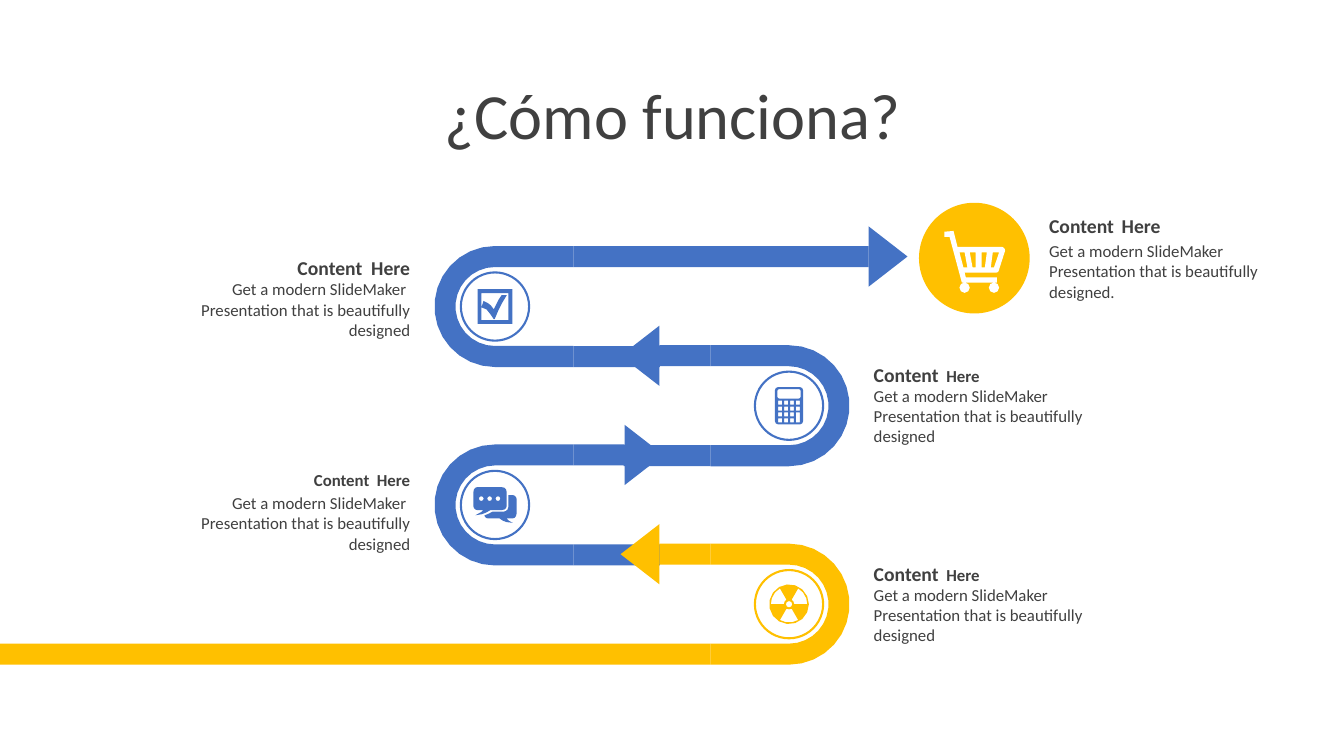
from math import ceil, cos, radians, sin

from pptx import Presentation
from pptx.dml.color import RGBColor
from pptx.enum.shapes import MSO_SHAPE
from pptx.enum.text import MSO_ANCHOR, MSO_AUTO_SIZE, PP_ALIGN
from pptx.util import Cm, Pt

BLUE, GOLD, GREY, WHITE = "4472C4", "FFC000", "404040", "FFFFFF"
BAND = 0.53
BEND_WIDTH, BEND_HEIGHT = 3.5, 3.05
FIRST_TOP, TIER_PITCH = 6.2, 2.5
ARROW_SPAN, ARROW_DEPTH = 1.52, 0.98
BODY = "Get a modern SlideMaker  Presentation that is beautifully designed"


def color(value):
    return RGBColor.from_string(value)


def paint(shape, fill=None, line=None):
    shape.shadow.inherit = False
    if fill:
        shape.fill.solid()
        shape.fill.fore_color.rgb = color(fill)
    else:
        shape.fill.background()
    if line:
        shape.line.color.rgb = color(line)
        shape.line.width = Pt(1.5)
    else:
        shape.line.fill.background()


def add_preset(slide, kind, left, top, width, height, fill=None, line=None):
    shape = slide.shapes.add_shape(kind, Cm(left), Cm(top), Cm(width), Cm(height))
    paint(shape, fill, line)
    return shape


def arc(x, y, radius, start, end):
    sweep = abs(end - start)
    steps = ceil(max(sweep / 45, sweep * min(radius, 1) / 12))
    angles = [radians(start + (end - start) * i / steps) for i in range(steps + 1)]
    return [(x + radius * cos(a), y + radius * sin(a)) for a in angles]


def circle(x, y, radius):
    return arc(x, y, radius, 0, 360)[:-1]


def rectangle(left, top, width, height):
    right, bottom = left + width, top + height
    return [(left, top), (right, top), (right, bottom), (left, bottom)]


def rounded(left, top, width, height, radius):
    inner = rectangle(left + radius, top + radius, width - 2 * radius, height - 2 * radius)
    return [point for i, (x, y) in enumerate(inner)
            for point in arc(x, y, radius, 180 + 90 * i, 270 + 90 * i)]


def trace(*steps):
    points = [steps[0]]
    for step in steps[1:]:
        if len(step) == 2:
            points.append(step)
            continue
        curve = [points[-1], step[0:2], step[2:4], step[4:6]]
        for t in (1 / 3, 2 / 3, 1):
            weights = [(1 - t) ** 3, 3 * t * (1 - t) ** 2, 3 * t * t * (1 - t), t ** 3]
            points.append(tuple(sum(w * p[axis] for w, p in zip(weights, curve))
                                for axis in (0, 1)))
    return points


def add_outline(slide, left, top, contours, fill):
    placed = [[(Cm(left + x), Cm(top + y)) for x, y in contour] for contour in contours]
    builder = slide.shapes.build_freeform(*placed[0][0], scale=1.0)
    for i, contour in enumerate(placed):
        if i:
            builder.move_to(*contour[0])
        builder.add_line_segments(contour[1:], close=True)
    paint(builder.convert_to_shape(), fill)


def add_tier(slide, left, top, side, fill, lower_end, arrow_x):
    radius = BEND_HEIGHT / 2
    if side == "left":
        center, inner_end, sweep = radius, BEND_WIDTH, (270, 90)
    else:
        center, inner_end, sweep = BEND_WIDTH - radius, 0, (-90, 90)
    bend = ([(inner_end, 0)] + arc(center, radius, radius, *sweep)
            + [(inner_end, BEND_HEIGHT), (inner_end, BEND_HEIGHT - BAND)]
            + arc(center, radius, radius - BAND, *sweep[::-1]) + [(inner_end, BAND)])
    joint = left + inner_end
    arrow_base = arrow_x + ARROW_DEPTH / 2 * (-1 if side == "left" else 1)
    for end, y in ((lower_end, top + BEND_HEIGHT - BAND), (arrow_base, top)):
        add_preset(slide, MSO_SHAPE.RECTANGLE, min(joint, end), y, abs(end - joint), BAND, fill)
    add_outline(slide, left, top, [bend], fill)
    arrow = add_preset(slide, MSO_SHAPE.ISOSCELES_TRIANGLE, arrow_x - ARROW_SPAN / 2,
                       top + BAND / 2 - ARROW_DEPTH / 2, ARROW_SPAN, ARROW_DEPTH, fill)
    arrow.rotation = 90 if side == "left" else 270
    return left + center, top + radius


def add_badge(slide, x, y, line, icon, width, height):
    radius = 0.86
    add_preset(slide, MSO_SHAPE.OVAL, x - radius, y - radius, 2 * radius, 2 * radius, line=line)
    add_outline(slide, x - width / 2, y - height / 2, icon, line)


def checkbox_icon():
    tick = trace((0.1, 0.46), (0.15, 0.3), (0.28, 0.36, 0.33, 0.38, 0.41, 0.51),
                 (0.49, 0.36, 0.51, 0.28, 0.61, 0.15), (0.74, 0.15),
                 (0.62, 0.33, 0.51, 0.56, 0.43, 0.76), (0.41, 0.76),
                 (0.33, 0.66, 0.25, 0.46, 0.1, 0.46))
    return [rectangle(0, 0, 0.88, 0.88), rectangle(0.1, 0.1, 0.68, 0.68), tick]


def calculator_icon():
    keys = [rectangle(0.08 + 0.15 * column, 0.34 + 0.15 * row, 0.1, 0.1)
            for column in range(4) for row in range(4) if column < 3 or row < 2]
    tall_key = rectangle(0.53, 0.64, 0.1, 0.25)
    return [rounded(0, 0, 0.71, 0.94, 0.08), rounded(0.06, 0.05, 0.59, 0.24, 0.05),
            *keys, tall_key]


def chat_icon():
    front = trace((0.1, 0), (0.71, 0), (0.79, 0, 0.84, 0.05, 0.84, 0.13), (0.84, 0.48),
                  (0.84, 0.53, 0.79, 0.58, 0.71, 0.58), (0.43, 0.58),
                  (0.3, 0.66, 0.25, 0.69, 0.05, 0.71), (0.18, 0.63, 0.18, 0.66, 0.25, 0.58),
                  (0.1, 0.58), (0.05, 0.58, 0, 0.53, 0, 0.48), (0, 0.13),
                  (0, 0.05, 0.05, 0, 0.1, 0))
    back = trace((0.88, 0.2), (0.99, 0.2), (1.04, 0.2, 1.09, 0.25, 1.09, 0.3), (1.09, 0.66),
                 (1.09, 0.74, 1.04, 0.79, 0.99, 0.79), (0.84, 0.79),
                 (0.86, 0.81, 0.86, 0.84, 0.99, 0.9), (0.79, 0.89, 0.76, 0.86, 0.66, 0.79),
                 (0.38, 0.79), (0.33, 0.79, 0.28, 0.76, 0.28, 0.71),
                 (0.36, 0.69, 0.41, 0.66, 0.48, 0.62), (0.76, 0.62),
                 (0.82, 0.62, 0.88, 0.57, 0.88, 0.51))
    return [front, back] + [circle(0.2 + 0.21 * i, 0.29, 0.06) for i in range(3)]


def radiation_icon():
    sectors = [arc(0.5, 0.5, 0.46, start, start + 60) + arc(0.5, 0.5, 0.13, start + 60, start)
               for start in (60, 180, 300)]
    return [circle(0.5, 0.5, 0.5), *sectors, circle(0.5, 0.5, 0.08)]


def cart_icon():
    frame = trace((0.23, 0), (0.33, 0.4), (1.45, 0.4), (1.5, 0.42, 1.53, 0.44, 1.53, 0.5),
                  (1.37, 1), (1.36, 1.04, 1.34, 1.05, 1.3, 1.05), (0.51, 1.05), (0.54, 1.17),
                  (1.32, 1.17), (1.32, 1.3), (0.44, 1.3), (0.13, 0.15), (0, 0.15), (0, 0.02))
    slots = [[(a, 0.54), (b, 0.92), (c, 0.92), (d, 0.54)]
             for a, b, c, d in ((0.38, 0.48, 0.58, 0.51), (0.64, 0.71, 0.79, 0.79),
                                (0.94, 0.94, 1.02, 1.07), (1.22, 1.17, 1.25, 1.38))]
    return [frame, *slots, circle(0.51, 1.43, 0.13), circle(1.25, 1.43, 0.13)]


def add_goal(slide, left, top, size):
    add_preset(slide, MSO_SHAPE.OVAL, left, top, size, size, GOLD)
    add_outline(slide, left + 0.64, top + 0.71, cart_icon(), WHITE)


def add_text(slide, left, top, width, height, runs, align, anchor, bold=False, grow=True):
    box = slide.shapes.add_textbox(Cm(left), Cm(top), Cm(width), Cm(height))
    frame = box.text_frame
    frame.word_wrap = True
    frame.auto_size = MSO_AUTO_SIZE.SHAPE_TO_FIT_TEXT if grow else MSO_AUTO_SIZE.NONE
    frame.vertical_anchor = anchor
    paragraph = frame.paragraphs[0]
    paragraph.alignment = align
    for text, size in runs:
        run = paragraph.add_run()
        run.text = text
        run.font.name = "Calibri"
        run.font.size = Pt(size)
        run.font.bold = bold
        run.font.color.rgb = color(GREY)


def add_caption(slide, left, top, width, heading, align, gap=0.59, body=BODY):
    height = 0.86 if heading[0][1] == 14 else 0.76
    add_text(slide, left, top, width, height, heading, align, MSO_ANCHOR.MIDDLE, bold=True)
    add_text(slide, left, top + gap, width, 1.8, [(body, 12)], align, MSO_ANCHOR.TOP)


def main():
    presentation = Presentation()
    presentation.slide_width, presentation.slide_height = Cm(33.87), Cm(19.05)
    slide = presentation.slides.add_slide(presentation.slide_layouts[6])
    add_text(slide, 2.34, 1.02, 29.21, 3.68, [("¿Cómo funciona?", 46)],
             PP_ALIGN.CENTER, MSO_ANCHOR.MIDDLE, grow=False)
    tiers = [("left", BLUE, 16.63, 22.38, checkbox_icon(), 0.88, 0.88),
             ("right", BLUE, 15.72, 16.13, calculator_icon(), 0.71, 0.94),
             ("left", BLUE, 16.63, 16.23, chat_icon(), 1.09, 0.9),
             ("right", GOLD, 0, 16.13, radiation_icon(), 1, 1)]
    for i, (side, fill, lower_end, arrow_x, *icon) in enumerate(tiers):
        left = 10.95 if side == "left" else 17.91
        x, y = add_tier(slide, left, FIRST_TOP + TIER_PITCH * i, side, fill, lower_end, arrow_x)
        add_badge(slide, x, y, fill, *icon)
    add_goal(slide, 23.16, 5.11, 2.79)
    mixed = [("Content", 14), ("  Here", 12)]
    add_caption(slide, 3.94, 6.32, 6.65, [("Content  Here", 14)], PP_ALIGN.RIGHT)
    add_caption(slide, 21.77, 9, 5.79, mixed, PP_ALIGN.LEFT)
    add_caption(slide, 3.94, 11.71, 6.65, [("Content  Here", 12)], PP_ALIGN.RIGHT)
    add_caption(slide, 21.77, 14.02, 5.79, mixed, PP_ALIGN.LEFT)
    add_caption(slide, 26.19, 5.26, 5.94, [("Content", 14), ("  ", 12), ("Here", 14)],
                PP_ALIGN.LEFT, 0.69, BODY + ".")
    presentation.save("out.pptx")


if __name__ == "__main__":
    main()
